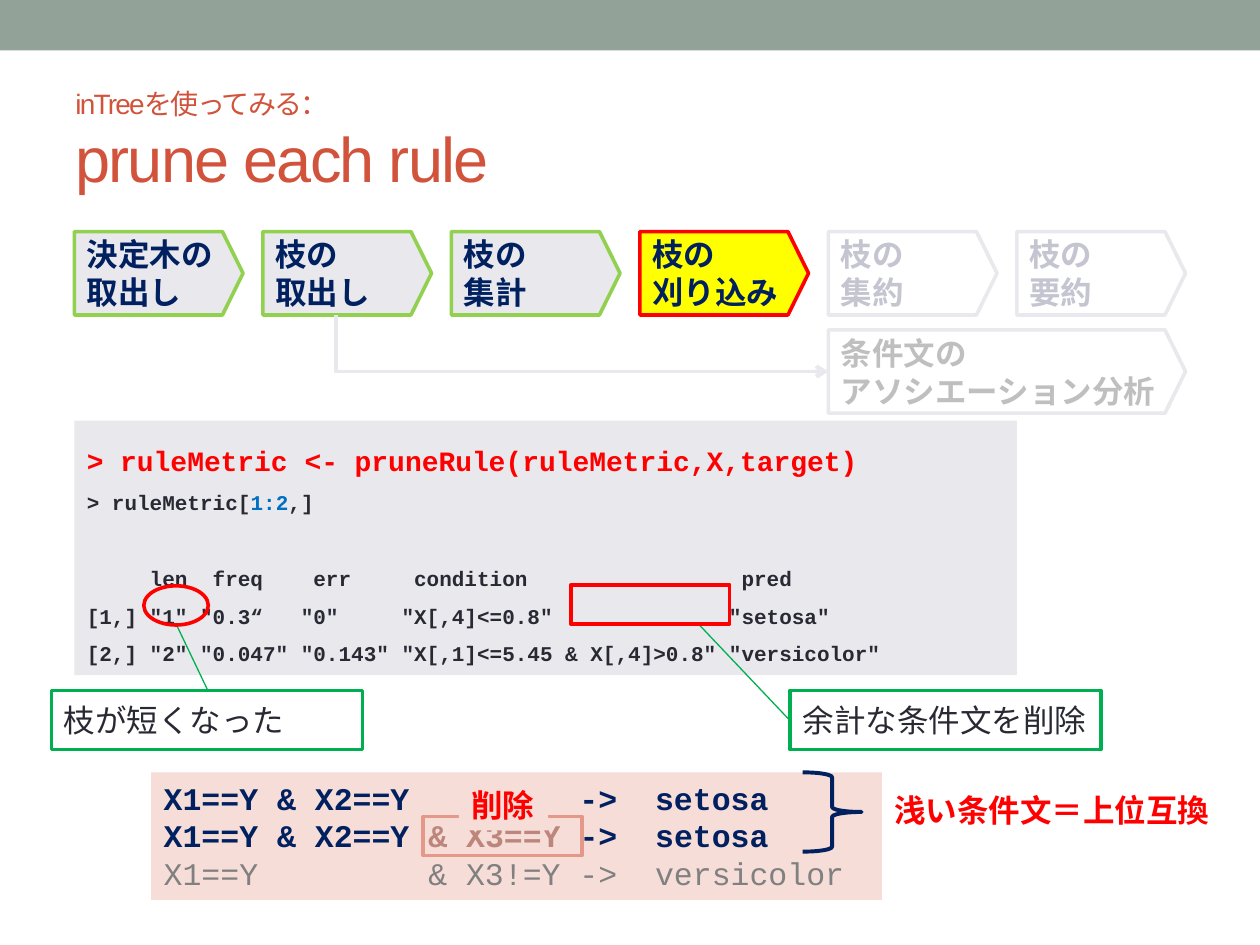
from lxml import etree
from pptx import Presentation
from pptx.dml.color import RGBColor
from pptx.enum import shapes, text
from pptx.oxml import ns
from pptx.util import Cm, Pt

NAVY, RED, GREEN, INK = "002060", "FF0000", "00B050", "292934"
PALE, WHITE, PINK = "E8E8ED", "FFFFFF", "F6DDD8"
ARIAL, MONO = "Arial", "Courier New"
KIND = shapes.MSO_SHAPE
MIDDLE = text.MSO_ANCHOR.MIDDLE

DONE = (PALE, "92D050", NAVY)
CURRENT = ("FFFF00", RED, NAVY)
PENDING = (WHITE, PALE, "C5C5D1")
SIDE = (WHITE, PALE, "BFBFBF")

STEPS = [
    ("決定木の", "取出し", DONE),
    ("枝の", "取出し", DONE),
    ("枝の", "集計", DONE),
    ("枝の", "刈り込み", CURRENT),
    ("枝の", "集約", PENDING),
    ("枝の", "要約", PENDING),
]
SIDE_STEP = ("条件文の", "アソシエーション分析", SIDE)

CONSOLE = [
    [("> ruleMetric <- pruneRule(ruleMetric,X,target)", 16, RED, True)],
    [("> ruleMetric[", 12, INK, True), ("1:2", 12, "0070C0", True), (",]", 12, INK, True)],
    [("     len  freq    err     condition                 pred", 12, INK, True)],
    [('[1,] "1" "0.3“   "0"     "X[,4]<=0.8"              "setosa"', 12, INK, True)],
    [('[2,] "2" "0.047" "0.143" "X[,1]<=5.45 & X[,4]>0.8" "versicolor"', 12, INK, True)],
]
HEADER_ROW = 2

RULES = [
    [("X1==Y & X2==Y         ‐>  setosa", 18, NAVY, True)],
    [("X1==Y & X2==Y ", 18, NAVY, True), ("& X3==Y ", 18, "BD867C", True),
     ("‐>  setosa", 18, NAVY, True)],
    [("X1==Y         & X3!=Y ‐>  versicolor", 18, "808080", False)],
]

NOTES = [("枝が短くなった", 1.04), ("余計な条件文を削除", 15.93)]
POINTERS = [((3.56, 12.6), (4.19, 13.92)), ((14.1, 12.6), (15.93, 14.53))]

STEP_LEFT, STEP_TOP, STEP_PITCH = 1.5, 4.67, 3.8
STEP_WIDTH, STEP_HEIGHT, ROW_PITCH = 3.4, 1.68, 1.98


def color(value):
    return RGBColor.from_string(value)


def add_box(page, kind, place, fill=None, line=None, width=2.08):
    box = page.shapes.add_shape(kind, *map(Cm, place))
    box.shadow.inherit = False
    if fill:
        box.fill.solid()
        box.fill.fore_color.rgb = color(fill)
    else:
        box.fill.background()
    if line:
        box.line.color.rgb = color(line)
        box.line.width = Pt(width)
    else:
        box.line.fill.background()
    return box


def write(box, lines, font=ARIAL, anchor=text.MSO_ANCHOR.TOP, wrap=True, spacing=None):
    frame = box.text_frame
    frame.word_wrap = wrap
    frame.vertical_anchor = anchor
    frame.text = "\n".join("".join(part[0] for part in line) for line in lines)
    for para, line in zip(frame.paragraphs, lines):
        para.alignment = text.PP_ALIGN.LEFT
        para.line_spacing = spacing
        if len(line) > 1:
            para.clear()
        for number, (words, size, tint, bold) in enumerate(line):
            span = para.add_run() if len(line) > 1 else para.runs[number]
            span.text = words
            span.font.name = font
            span.font.size = Pt(size)
            span.font.bold = bold
            span.font.color.rgb = color(tint)


def add_line(page, start, end, tint, width, kind=shapes.MSO_CONNECTOR.STRAIGHT):
    line = page.shapes.add_connector(kind, *map(Cm, start + end))
    line.line.color.rgb = color(tint)
    line.line.width = Pt(width)
    etree.SubElement(line._element.spPr, ns.qn("a:effectLst"))
    return line


def add_title(page):
    box = page.shapes.add_textbox(Cm(1.27), Cm(1.47), Cm(22.86), Cm(2.74))
    frame = box.text_frame
    frame.word_wrap = True
    frame.vertical_anchor = MIDDLE
    para = frame.paragraphs[0]
    para.text = "inTreeを使ってみる：\vprune each rule"
    for span, size in zip(para.runs, (16, 36)):
        span.font.name = ARIAL
        span.font.size = Pt(size)
        span.font.color.rgb = color("D2533C")
        span.font._element.set("spc", "-100")


def add_step(page, step, column, row=0, columns=1):
    first, second, (fill, line, tint) = step
    width = STEP_WIDTH + (columns - 1) * STEP_PITCH
    place = (STEP_LEFT + column * STEP_PITCH, STEP_TOP + row * ROW_PITCH, width, STEP_HEIGHT)
    box = add_box(page, KIND.PENTAGON, place, fill, line)
    box.adjustments[0] = 0.247
    write(box, [[(words, 18, tint, True)] for words in (first, second)], anchor=MIDDLE)


def add_branch(page):
    start_x, start_y = 6.78, STEP_TOP + STEP_HEIGHT
    end_x = STEP_LEFT + 4 * STEP_PITCH
    end_y = STEP_TOP + ROW_PITCH + STEP_HEIGHT / 2
    center_x, center_y = (start_x + end_x) / 2, (start_y + end_y) / 2
    half_run, half_drop = (end_x - start_x) / 2, (end_y - start_y) / 2
    branch = add_line(page, (center_x + half_drop, center_y - half_run),
                      (center_x - half_drop, center_y + half_run), PALE, 2.25,
                      shapes.MSO_CONNECTOR.ELBOW)
    outline = branch._element.spPr
    outline.find(ns.qn("a:xfrm")).set("rot", "16200000")
    outline.find(ns.qn("a:prstGeom")).set("prst", "bentConnector2")
    etree.SubElement(outline.find(ns.qn("a:ln")), ns.qn("a:tailEnd"), type="arrow")


def main():
    deck = Presentation()
    deck.slide_width, deck.slide_height = Cm(25.4), Cm(19.05)
    page = deck.slides.add_slide(deck.slide_layouts[6])

    add_box(page, KIND.RECTANGLE, (0, 0, 25.4, 1.02), "93A299")
    add_title(page)

    console = add_box(page, KIND.RECTANGLE, (1.5, 8.48, 19, 5.13), PALE)
    write(console, CONSOLE, MONO, spacing=1.5)
    console.text_frame.paragraphs[HEADER_ROW].space_before = Pt(21.6)

    for column, step in enumerate(STEPS):
        add_step(page, step, column)
    add_step(page, SIDE_STEP, 4, row=1, columns=2)
    add_branch(page)

    rules = add_box(page, KIND.RECTANGLE, (3.05, 15.57, 14.73, 2.57), PINK)
    write(rules, RULES, MONO)
    add_box(page, KIND.RIGHT_BRACE, (16.18, 15.57, 1.19, 1.6), line=NAVY, width=2.25)
    remark = page.shapes.add_textbox(Cm(17.78), Cm(15.82), Cm(6.93), Cm(1.02))
    write(remark, [[("浅い条件文＝上位互換", 18, RED, True)]], wrap=False)

    add_box(page, KIND.RECTANGLE, (8.53, 16.46, 3.2, 0.79), line="E4988A")
    removed = add_box(page, KIND.RECTANGLE, (9.25, 15.72, 1.8, 1.02), PINK)
    write(removed, [[("削除", 18, RED, True)]], wrap=False)

    for start, end in POINTERS:
        add_line(page, start, end, GREEN, 0.75)
    for words, left in NOTES:
        note = add_box(page, KIND.RECTANGLE, (left, 13.92, 6.27, 1.19), WHITE, GREEN)
        write(note, [[(words, 18, INK, False)]], anchor=MIDDLE)

    add_box(page, KIND.OVAL, (2.9, 11.81, 1.3, 0.79), line=RED)
    add_box(page, KIND.RECTANGLE, (11.51, 11.79, 3.2, 0.79), line=RED)

    deck.save("out.pptx")


if __name__ == "__main__":
    main()
